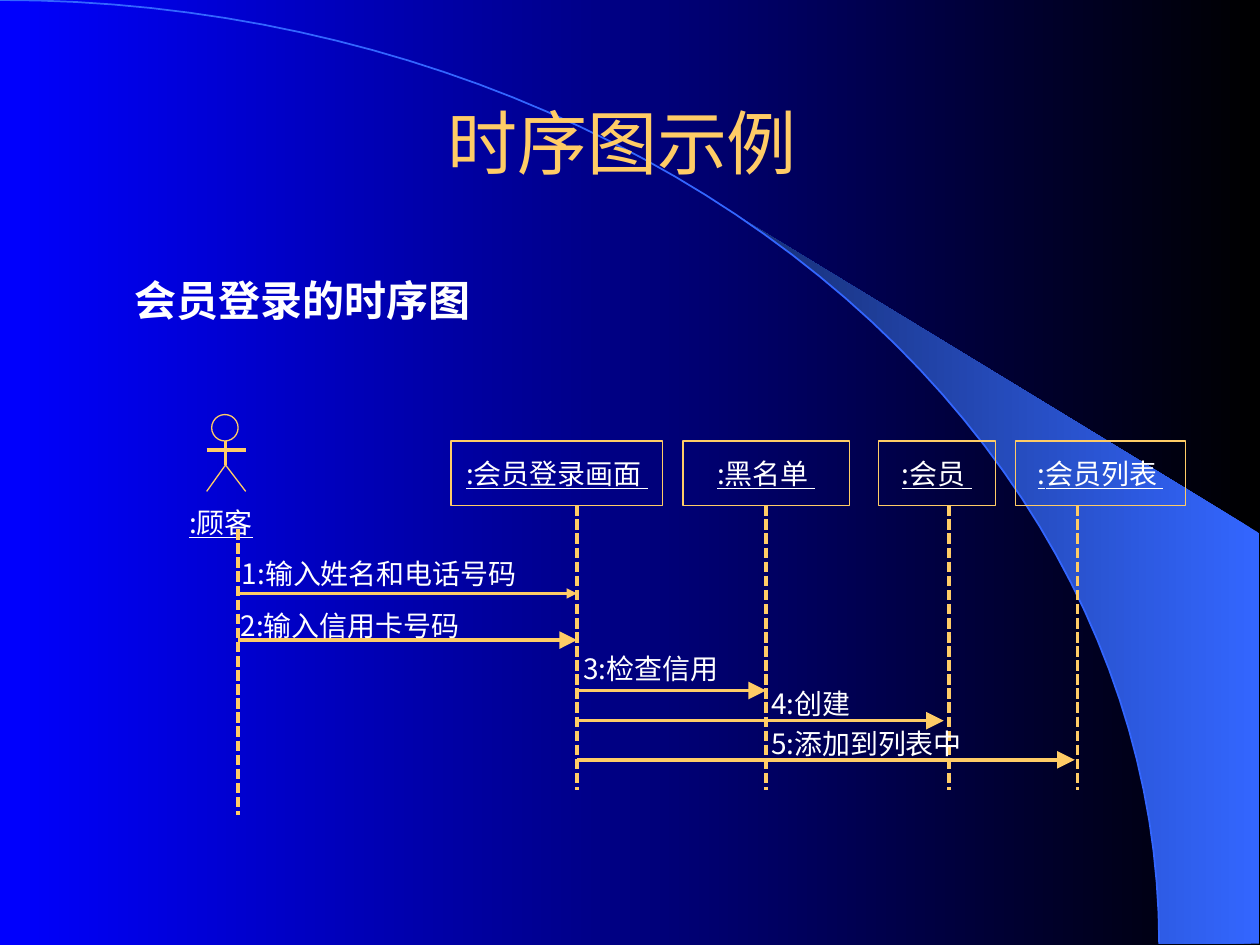
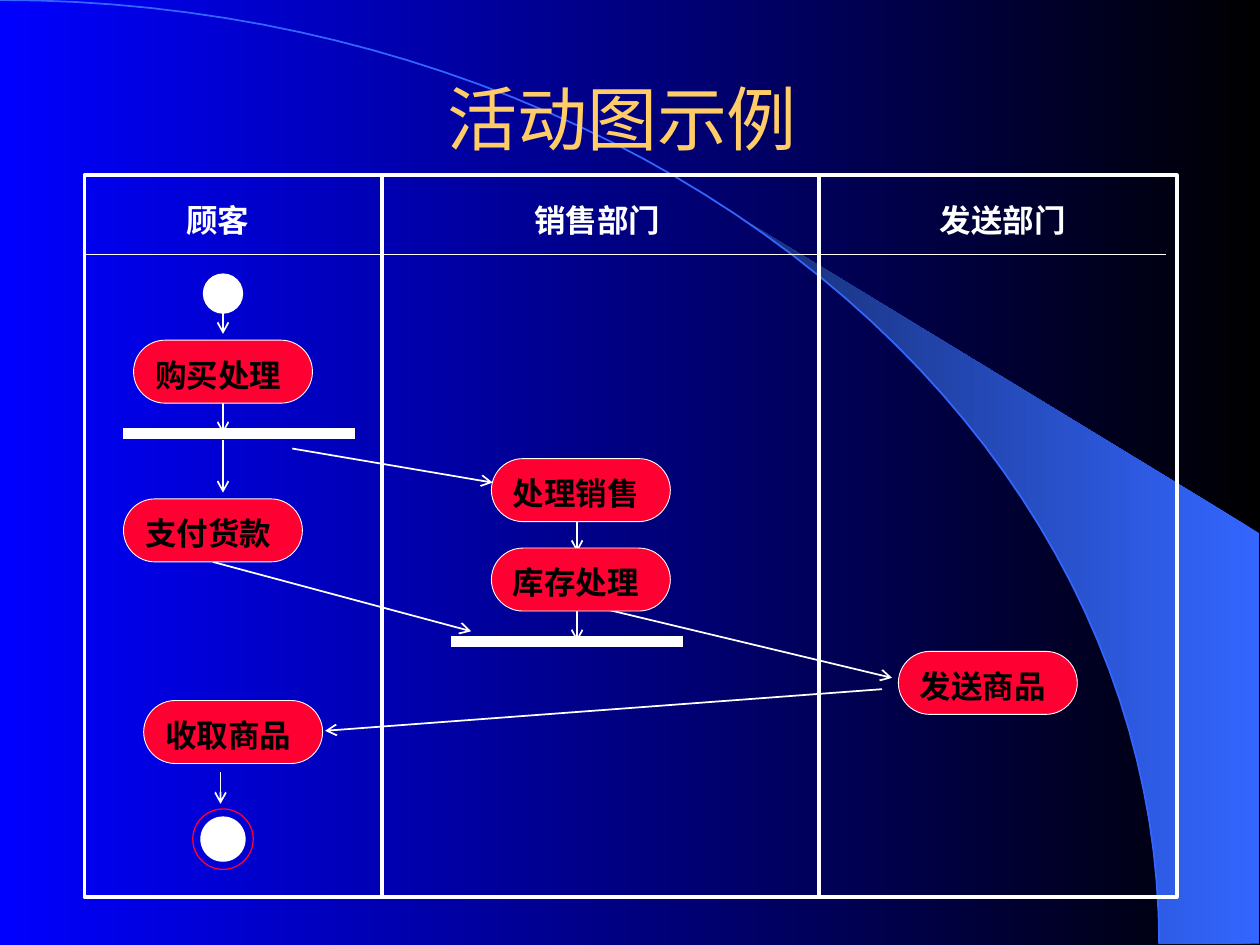
"""Build two UML example slides: a sequence diagram and an activity diagram."""
import math

from lxml import etree
from pptx import Presentation
from pptx import util as u
from pptx.dml.color import RGBColor
from pptx.enum import dml, shapes, text
from pptx.oxml import ns

BLACK = RGBColor(0x00, 0x00, 0x00)
WHITE = RGBColor(0xFF, 0xFF, 0xFF)
BLUE = RGBColor(0x00, 0x00, 0xFF)
SKY = RGBColor(0x33, 0x66, 0xFF)
NAVY = RGBColor(0x17, 0x2F, 0x75)
GOLD = RGBColor(0xFF, 0xCC, 0x66)
RED = RGBColor(0xFF, 0x00, 0x33)
CJK = "Noto Sans CJK SC"
ARC_W, ARC_H = 9.2, 7.49
PILL_W, PILL_H = 1.42, 0.5
HAIR = 0


def set_gradient(fill, first, last):
    fill.gradient()
    fill.gradient_angle = 180
    for stop, color in zip(fill.gradient_stops, (first, last)):
        stop.color.rgb = color


def set_style(sp, fill=None, line=None, width=1):
    sp.shadow.inherit = False
    if fill is None:
        sp.fill.background()
    else:
        sp.fill.solid()
        sp.fill.fore_color.rgb = fill
    if line is None:
        sp.line.fill.background()
    else:
        sp.line.color.rgb = line
        sp.line.width = u.Pt(width)


def set_text(sp, words, size, color=WHITE, bold=False, underline=False,
             font=CJK, align=text.PP_ALIGN.LEFT, anchor=text.MSO_ANCHOR.TOP,
             inset=True):
    tf = sp.text_frame
    tf.word_wrap = True
    tf.vertical_anchor = anchor
    tf.margin_left = tf.margin_right = u.Inches(0.1 if inset else 0)
    tf.margin_top = tf.margin_bottom = u.Inches(0.05 if inset else 0)
    tf.text = words
    p = tf.paragraphs[0]
    p.alignment = align
    r = p.runs[0]
    r.font.size = u.Pt(size)
    r.font.bold = bold
    r.font.underline = underline
    r.font.color.rgb = color
    r.font.name = font
    etree.SubElement(r.font._element, ns.qn("a:ea"), typeface=CJK)


def add_text(s, words, box, size, **style):
    sp = s.shapes.add_textbox(*map(u.Inches, box))
    set_text(sp, words, size, **style)


def add_box(s, kind, box, **style):
    sp = s.shapes.add_shape(kind, *map(u.Inches, box))
    set_style(sp, **style)
    return sp


def add_outline(s, points, closed=False):
    first, *rest = [(u.Inches(x), u.Inches(y)) for x, y in points]
    builder = s.shapes.build_freeform(*first)
    builder.add_line_segments(rest, close=closed)
    return builder.convert_to_shape()


def add_line(s, x1, y1, x2, y2, color=WHITE, width=1, dash=None, head=None,
             head_size="med"):
    c = s.shapes.add_connector(shapes.MSO_CONNECTOR.STRAIGHT,
                               *map(u.Inches, (x1, y1, x2, y2)))
    c.line.color.rgb = color
    c.line.width = u.Pt(width)
    if dash:
        c.line.dash_style = dash
    spPr = c._element.spPr
    if head:
        etree.SubElement(spPr.find(ns.qn("a:ln")), ns.qn("a:tailEnd"),
                         type=head, w=head_size, len=head_size)
    etree.SubElement(spPr, ns.qn("a:effectLst"))


def arc_points(start, end, steps=48):
    angles = [math.radians(start + (end - start) * i / steps)
              for i in range(steps + 1)]
    return [(ARC_W * math.sin(a), ARC_H * (1 - math.cos(a))) for a in angles]


def add_slide(prs, title, title_box):
    s = prs.slides.add_slide(prs.slide_layouts[6])
    set_gradient(s.background.fill, BLACK, BLUE)
    wedge = add_outline(s, arc_points(39.8, 90) + [(9.99, 7.49), (9.99, 4.23)],
                        closed=True)
    set_style(wedge)
    set_gradient(wedge.fill, SKY, NAVY)
    set_style(add_outline(s, arc_points(0, 90)), line=SKY)
    add_text(s, title, title_box, 40, color=GOLD,
             align=text.PP_ALIGN.CENTER, anchor=text.MSO_ANCHOR.MIDDLE)
    return s


def add_actor(s):
    add_box(s, shapes.MSO_SHAPE.OVAL, (1.68, 3.29, 0.21, 0.21),
            line=GOLD, width=HAIR)
    add_line(s, 1.79, 3.5, 1.79, 3.69, GOLD, HAIR)
    add_line(s, 1.64, 3.57, 1.95, 3.57, GOLD, HAIR)
    legs = add_outline(s, [(1.64, 3.9), (1.79, 3.69), (1.95, 3.9)])
    set_style(legs, line=GOLD, width=HAIR)
    add_text(s, ":顾客", (1.5, 4.01, 0.71, 0.27), 16, underline=True,
             inset=False)


def add_lifeline(s, x, top, bottom):
    add_line(s, x, top, x, bottom, GOLD, HAIR, dml.MSO_LINE.SQUARE_DOT)


def add_participant(s, name, left, width, life_x):
    sp = add_box(s, shapes.MSO_SHAPE.RECTANGLE, (left, 3.5, width, 0.51),
                 line=GOLD, width=HAIR)
    set_text(sp, name, 16, underline=True, align=text.PP_ALIGN.CENTER,
             anchor=text.MSO_ANCHOR.MIDDLE)
    add_lifeline(s, life_x, 4.01, 6.27)


def add_message(s, words, x1, x2, y, label, head_size="lg"):
    add_line(s, x1, y, x2, y, GOLD, HAIR, head="triangle",
             head_size=head_size)
    add_text(s, words, (*label, 0.27), 16, inset=False)


def add_activity(s, name, left, top):
    sp = add_box(s, shapes.MSO_SHAPE.ROUNDED_RECTANGLE,
                 (left, top, PILL_W, PILL_H), fill=RED, line=WHITE, width=0.5)
    sp.adjustments[0] = 0.5
    set_text(sp, name, 18, color=BLACK, bold=True, font="Arial")


def add_circle(s, x, y, diameter, **style):
    radius = diameter / 2
    add_box(s, shapes.MSO_SHAPE.OVAL,
            (x - radius, y - radius, diameter, diameter), **style)


def build_sequence(prs):
    s = add_slide(prs, "时序图示例 ", (0.75, 0.79, 8.5, 0.66))
    add_text(s, "会员登录的时序图", (1.07, 2.18, 2.76, 0.4), 24, bold=True,
             inset=False)
    add_actor(s)
    customer, screen, blacklist, member, members = 1.89, 4.58, 6.08, 7.53, 8.55
    add_lifeline(s, customer, 4.2, 6.47)
    for name, left, width, life_x in (
            (":会员登录画面 ", 3.58, 1.68, screen),
            (":黑名单 ", 5.42, 1.32, blacklist),
            (":会员 ", 6.97, 0.93, member),
            (":会员列表 ", 8.06, 1.35, members)):
        add_participant(s, name, left, width, life_x)
    add_message(s, "1:输入姓名和电话号码", customer, screen, 4.71,
                (1.92, 4.42, 2.38), head_size="med")
    for words, x1, x2, y, label in (
            ("2:输入信用卡号码", customer, screen, 5.08, (1.91, 4.83, 1.93)),
            ("3:检查信用", screen, blacklist, 5.48, (4.63, 5.17, 1.27)),
            ("4:创建", screen, 7.49, 5.72, (6.12, 5.45, 0.83)),
            ("5:添加到列表中", screen, 8.53, 6.03, (6.12, 5.77, 1.71))):
        add_message(s, words, x1, x2, y, label)


def add_swimlanes(s):
    left, top, width, height = 0.67, 1.39, 8.67, 5.73
    add_box(s, shapes.MSO_SHAPE.RECTANGLE, (left, top, width, height),
            line=WHITE, width=2)
    for x in (3.03, 6.5):
        add_line(s, x, top, x, top + height, width=2)
    add_line(s, left, 2.02, 9.25, 2.02)
    for name, x, w in (("顾客", 1.38, 0.82), ("销售部门", 4.14, 1.3),
                       ("发送部门", 7.36, 1.3)):
        add_text(s, name, (x, 1.55, w, 0.4), 18, bold=True)


def build_activity(prs):
    s = add_slide(prs, "活动图示例 ", (0.75, 0.67, 8.5, 0.52))
    add_swimlanes(s)
    for x, y in ((0.98, 3.44), (3.58, 5.09)):
        add_line(s, x, y, x + 1.84, y, width=6)
    for flow in ((1.77, 2.48, 1.77, 2.65), (1.77, 3.19, 1.77, 3.44),
                 (1.77, 3.49, 1.77, 3.91), (2.32, 3.56, 3.91, 3.83),
                 (4.58, 4.13, 4.58, 4.38), (4.58, 4.84, 4.58, 5.09),
                 (1.69, 4.46, 3.74, 5.01), (4.66, 4.8, 7.08, 5.38),
                 (7, 5.47, 2.58, 5.8), (1.75, 6.13, 1.75, 6.38)):
        add_line(s, *flow, head="arrow")
    for name, left, top in (
            ("购买处理", 1.06, 2.7), ("处理销售", 3.9, 3.64),
            ("支付货款", 0.98, 3.96), ("库存处理", 3.9, 4.35),
            ("发送商品", 7.13, 5.17), ("收取商品", 1.14, 5.56)):
        add_activity(s, name, left, top)
    add_circle(s, 1.77, 2.33, 0.32, fill=WHITE)
    add_circle(s, 1.77, 6.66, 0.36, fill=WHITE)
    add_circle(s, 1.77, 6.66, 0.48, line=RED, width=0.75)


def main():
    prs = Presentation()
    prs.slide_width, prs.slide_height = u.Inches(10), u.Inches(7.5)
    build_sequence(prs)
    build_activity(prs)
    prs.save("out.pptx")


if __name__ == "__main__":
    main()
